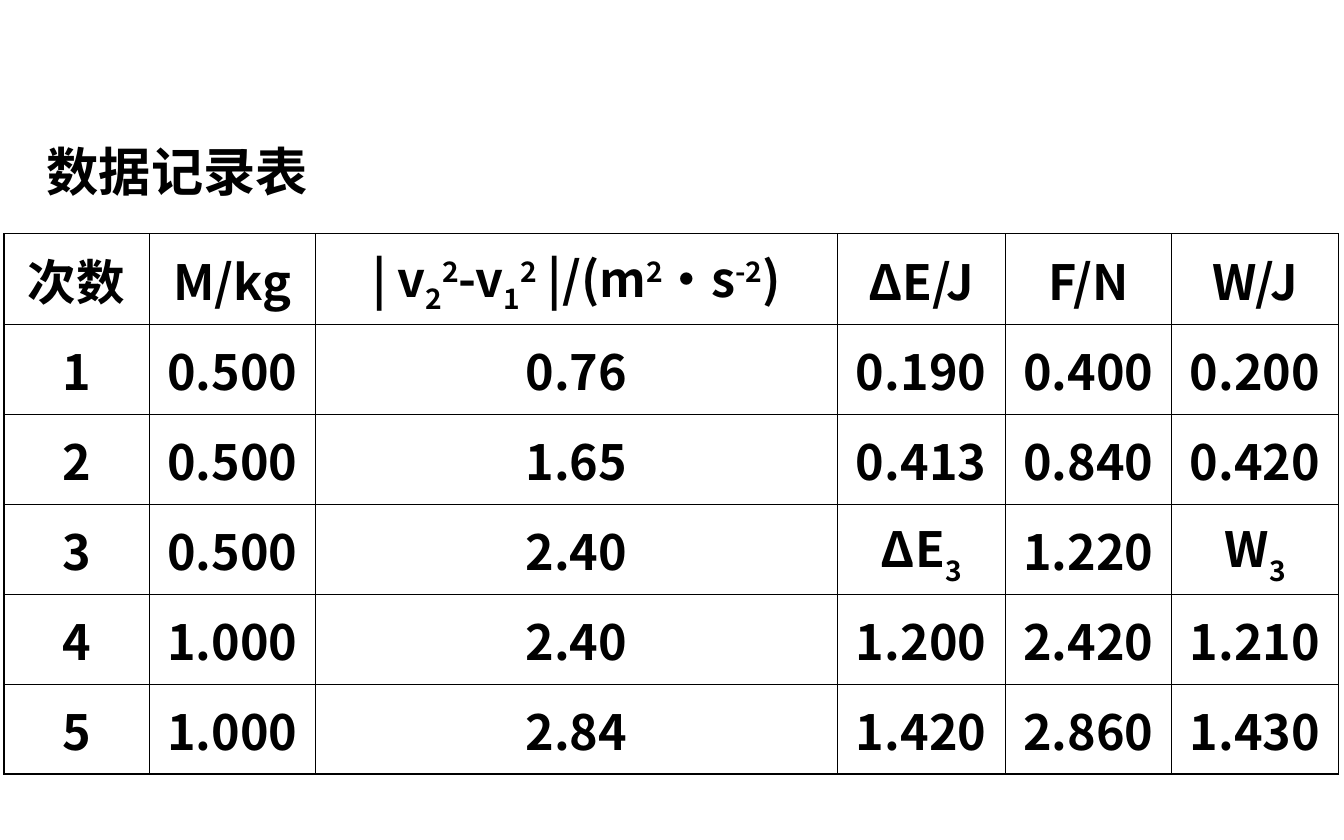
from dataclasses import dataclass
from typing import NamedTuple

from lxml.etree import SubElement
from pptx import Presentation
from pptx.dml.color import RGBColor
from pptx.enum.text import MSO_ANCHOR, MSO_AUTO_SIZE, PP_ALIGN
from pptx.oxml.ns import qn
from pptx.util import Inches, Pt


@dataclass(frozen=True)
class Theme:
    font: str = "Noto Sans CJK SC"
    ink: str = "000000"
    title_size: int = 28
    cell_size: int = 26
    outer_line: float = 0.75
    inner_line: float = 0.45


class Span(NamedTuple):
    text: str
    baseline: int = 0  # percent: positive raises, negative lowers


THEME = Theme()
COLUMN_WIDTHS = (1.08, 1.24, 3.88, 1.25, 1.24, 1.24)
ROW_HEIGHT = 0.67
SUB, SUPER, LOW = -25, 30, -30

SPEED_HEADER = (
    Span("| v"), Span("2", SUB), Span("2", SUPER),
    Span("-v"), Span("1", SUB), Span("2", SUPER),
    Span(" |/(m"), Span("2", SUPER), Span("·s"), Span("-2", SUPER), Span(")"),
)
RECORDS = (
    ("次数", "M/kg", SPEED_HEADER, "ΔE/J", "F/N", "W/J"),
    ("1", "0.500", "0.76", "0.190", "0.400", "0.200"),
    ("2", "0.500", "1.65", "0.413", "0.840", "0.420"),
    ("3", "0.500", "2.40", (Span("ΔE"), Span("3", LOW)), "1.220", (Span("W"), Span("3", LOW))),
    ("4", "1.000", "2.40", "1.200", "2.420", "1.210"),
    ("5", "1.000", "2.84", "1.420", "2.860", "1.430"),
)


def format_run(run, size: int, baseline: int = 0) -> None:
    font = run.font
    font.name, font.size, font.bold = THEME.font, Pt(size), True
    font.color.rgb = RGBColor.from_string(THEME.ink)
    properties = run._r.get_or_add_rPr()
    SubElement(properties, qn("a:ea"), typeface=THEME.font)
    if baseline:
        properties.set("baseline", str(baseline * 1000))


def add_border(cell, side: str, width: float) -> None:
    """Draw one side (L, R, T or B) of a cell; call before setting its fill."""
    line = SubElement(cell._tc.get_or_add_tcPr(), qn(f"a:ln{side}"), w=str(int(Pt(width))))
    fill = SubElement(line, qn("a:solidFill"))
    SubElement(fill, qn("a:srgbClr"), val=THEME.ink)


def fill_cell(cell, content: str | tuple[Span, ...]) -> None:
    cell.vertical_anchor = MSO_ANCHOR.MIDDLE
    para = cell.text_frame.paragraphs[0]
    para.alignment = PP_ALIGN.CENTER
    spans = (Span(content),) if isinstance(content, str) else content
    for span in spans:
        run = para.add_run()
        run.text = span.text
        format_run(run, THEME.cell_size, span.baseline)


def add_title(page, text: str) -> None:
    box = page.shapes.add_textbox(Inches(0.25), Inches(0.75), Inches(9.43), Inches(0.8))
    frame = box.text_frame
    frame.word_wrap = True
    frame.auto_size = MSO_AUTO_SIZE.SHAPE_TO_FIT_TEXT
    frame.text = text
    para = frame.paragraphs[0]
    para.line_spacing = 1.5
    format_run(para.runs[0], THEME.title_size)


def add_record_table(page) -> None:
    row_count, column_count = len(RECORDS), len(COLUMN_WIDTHS)
    table = page.shapes.add_table(
        row_count, column_count, Inches(0.03), Inches(1.74),
        Inches(sum(COLUMN_WIDTHS)), Inches(ROW_HEIGHT * row_count),
    ).table
    table.first_row = table.horz_banding = False
    for column, width in zip(table.columns, COLUMN_WIDTHS):
        column.width = Inches(width)
    for r, record in enumerate(RECORDS):
        table.rows[r].height = Inches(ROW_HEIGHT)
        for c, content in enumerate(record):
            cell = table.cell(r, c)
            fill_cell(cell, content)
            is_outer = {"L": c == 0, "R": c == column_count - 1,
                        "T": r == 0, "B": r == row_count - 1}
            for side, outer in is_outer.items():
                add_border(cell, side, THEME.outer_line if outer else THEME.inner_line)
            cell.fill.background()


def main() -> None:
    deck = Presentation()
    deck.slide_width, deck.slide_height = Inches(10), Inches(6.25)
    page = deck.slides.add_slide(deck.slide_layouts[6])
    add_title(page, "数据记录表")
    add_record_table(page)
    deck.save("out.pptx")


if __name__ == "__main__":
    main()
